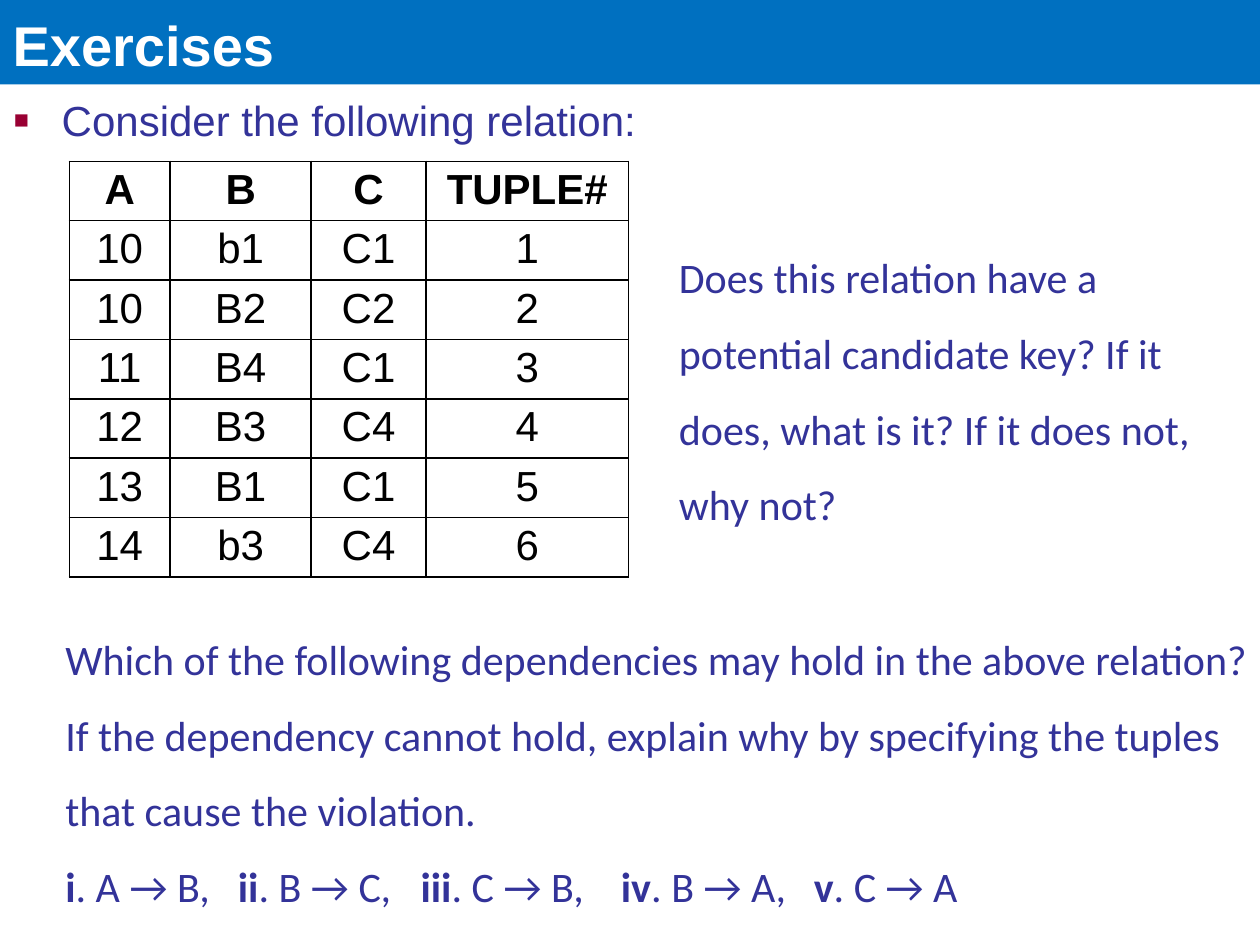
from lxml import etree
from pptx import Presentation
from pptx.dml.color import RGBColor
from pptx.enum.text import MSO_ANCHOR as Anchor, MSO_AUTO_SIZE as AutoSize, PP_ALIGN as Align
from pptx.oxml import parse_xml
from pptx.oxml.ns import nsdecls, qn
from pptx.util import Inches, Pt

INDIGO = "333399"
TUPLES = [
    ("A", "B", "C", "TUPLE#"),
    ("10", "b1", "C1", "1"),
    ("10", "B2", "C2", "2"),
    ("11", "B4", "C1", "3"),
    ("12", "B3", "C4", "4"),
    ("13", "B1", "C1", "5"),
    ("14", "b3", "C4", "6"),
]
DEPENDENCIES = [("i", "A → B,"), ("ii", "B → C,"), ("iii", "C → B,"), ("iv", "B → A,"), ("v", "C → A")]
DEPENDENCY_STOPS = [1.37, 2.82, 4.41, 5.94]


def colour(value):
    return RGBColor.from_string(value)


def style(para, name, size, value, bold=False):
    font = para.font
    font.name, font.size, font.bold = name, Pt(size), bold
    font.color.rgb = colour(value)


def place(shape, box):
    shape.left, shape.top, shape.width, shape.height = map(Inches, box)


def set_frame(frame, right=0):
    frame.word_wrap = True
    frame.auto_size = AutoSize.NONE
    frame.margin_left, frame.margin_right = Inches(0.1), Inches(right)
    frame.margin_top = frame.margin_bottom = Inches(0.05)


def add_title(page, box):
    title = page.shapes.title
    place(title, box)
    title.fill.solid()
    title.fill.fore_color.rgb = colour("0070C0")
    frame = title.text_frame
    set_frame(frame, 0.1)
    frame.vertical_anchor = Anchor.BOTTOM
    frame.text = "Exercises"
    para = frame.paragraphs[0]
    para.alignment = Align.LEFT
    style(para, "Arial", 32, "FFFFFF", True)


def add_prompt(page, box):
    body = page.placeholders[1]
    place(body, box)
    frame = body.text_frame
    set_frame(frame)
    frame.text = "Consider the following relation:"
    para = frame.paragraphs[0]
    para.space_before = Pt(4.8)
    properties = para._p.get_or_add_pPr()
    properties.set("marL", str(Inches(0.38)))
    properties.set("indent", str(-Inches(0.38)))
    for bullet in (
        f'<a:buClr {nsdecls("a")}><a:srgbClr val="990033"/></a:buClr>',
        f'<a:buSzPct {nsdecls("a")} val="60000"/>',
        f'<a:buFont {nsdecls("a")} typeface="Arial"/>',
        f'<a:buChar {nsdecls("a")} char="■"/>',
    ):
        properties.append(parse_xml(bullet))
    style(para, "Arial", 24, INDIGO)


def set_borders(cell):
    properties = cell._tc.get_or_add_tcPr()
    for side in ("lnL", "lnR", "lnT", "lnB"):
        properties.append(parse_xml(
            f'<a:{side} {nsdecls("a")} w="{Pt(1)}"><a:solidFill>'
            f'<a:srgbClr val="000000"/></a:solidFill></a:{side}>'
        ))


def add_relation(page, box):
    table = page.shapes.add_table(len(TUPLES), len(TUPLES[0]), *map(Inches, box)).table
    table.first_row = table.horz_banding = False
    for column, width in zip(table.columns, (0.8, 1.12, 0.91, 1.61)):
        column.width = Inches(width)
    for row_index, values in enumerate(TUPLES):
        table.rows[row_index].height = Inches(box[3] / len(TUPLES))
        for column_index, value in enumerate(values):
            cell = table.cell(row_index, column_index)
            cell.text = value
            cell.margin_top = cell.margin_bottom = Inches(0.04)
            set_borders(cell)
            cell.fill.background()
            para = cell.text_frame.paragraphs[0]
            para.alignment = Align.CENTER
            style(para, "Arial", 24, "000000", row_index == 0)


def add_question(page, box, text):
    frame = page.shapes.add_textbox(*map(Inches, box)).text_frame
    set_frame(frame)
    para = frame.paragraphs[0]
    para.add_run().text = text
    para.line_spacing = 1.5
    para.space_before = Pt(4.8)
    return para


def add_key_question(page, box):
    para = add_question(
        page, box,
        "Does this relation have a potential candidate key? If it does, what is it? If it does not, why not?",
    )
    style(para, "Calibri", 24, INDIGO)


def add_dependency_question(page, box):
    para = add_question(
        page, box,
        "Which of the following dependencies may hold in the above relation? If the dependency "
        "cannot hold, explain why by specifying the tuples that cause the violation.",
    )
    stops = etree.SubElement(para._p.get_or_add_pPr(), qn("a:tabLst"))
    for stop in DEPENDENCY_STOPS:
        etree.SubElement(stops, qn("a:tab"), pos=str(Inches(stop)), algn="l")
    style(para, "Calibri", 24, INDIGO)
    para.add_line_break()
    for index, (numeral, dependency) in enumerate(DEPENDENCIES):
        span = para.add_run()
        span.text = numeral
        span.font.bold = True
        gap = "\t" if index < len(DEPENDENCIES) - 1 else ""
        para.add_run().text = f". {dependency}{gap}"


def main():
    deck = Presentation()
    deck.slide_width, deck.slide_height = Inches(10), Inches(7.5)
    page = deck.slides.add_slide(deck.slide_layouts[1])
    add_title(page, (0, 0, 10, 0.67))
    add_prompt(page, (0.01, 0.7, 9.99, 0.49))
    add_relation(page, (0.55, 1.28, 4.44, 3.3))
    add_key_question(page, (5.29, 1.75, 4.46, 2.73))
    add_dependency_question(page, (0.42, 4.78, 9.58, 2.63))
    deck.save("out.pptx")


if __name__ == "__main__":
    main()
